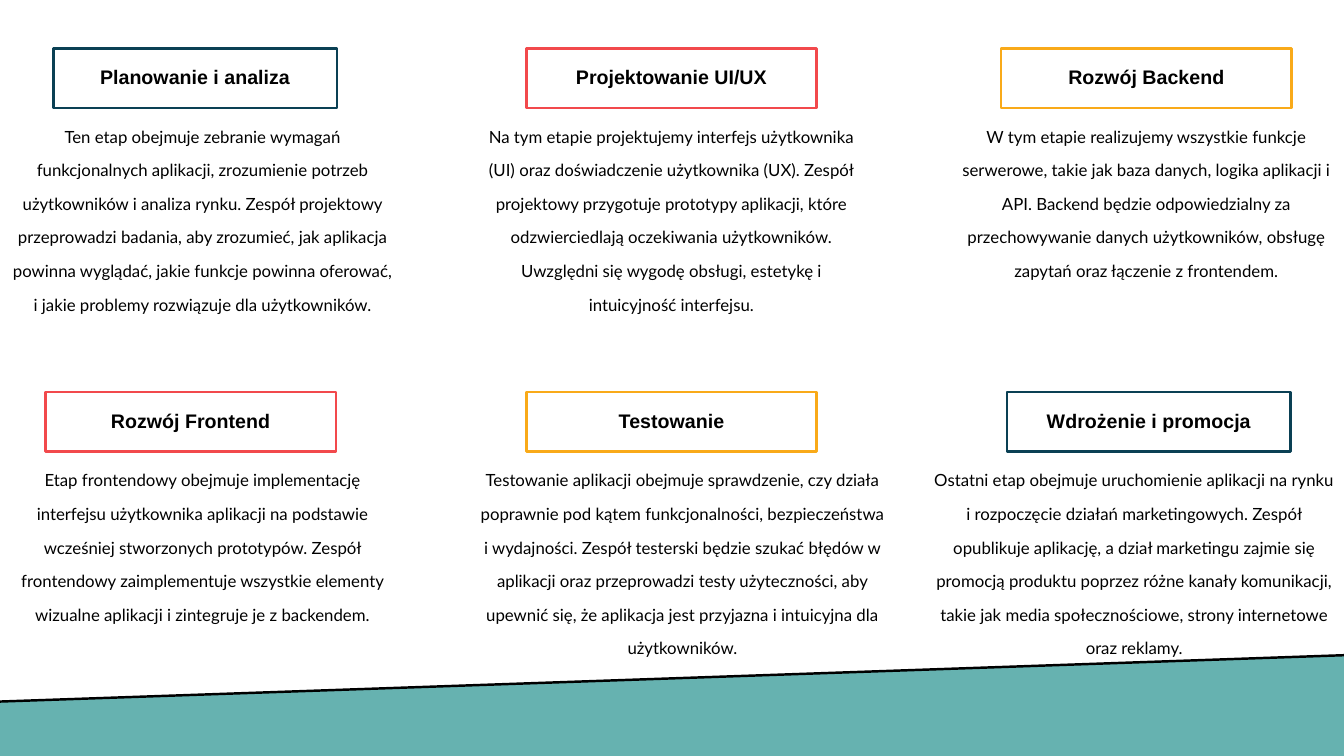
from lxml.etree import SubElement
from pptx import Presentation
from pptx.dml.color import RGBColor
from pptx.enum.shapes import MSO_CONNECTOR as Link, MSO_SHAPE as Geo
from pptx.enum.text import MSO_ANCHOR as Anchor, MSO_AUTO_SIZE as Fit, PP_ALIGN as Align
from pptx.oxml.ns import qn
from pptx.util import Inches, Pt

NAVY = RGBColor(0x0A, 0x40, 0x54)
RED = RGBColor(0xF2, 0x49, 0x4C)
AMBER = RGBColor(0xF9, 0xAA, 0x19)
TEAL = RGBColor(0x66, 0xB2, 0xB0)
BLACK = RGBColor(0, 0, 0)

HEAD_TOP, TEXT_TOP, ROW_STEP = 6.4, 14.27, 45.47
HEAD_HEIGHT, TEXT_HEIGHT = 7.87, 23.33
NARROW_HEAD, WIDE_HEAD = 21.08, 21.61
NARROW_TEXT, WIDE_TEXT = 30.16, 31.81
SLOPE_LEFT, SLOPE_RIGHT = 92.8, 86.67

STAGES = [
    [
        ("Planowanie i analiza", NAVY, 3.98, NARROW_HEAD, 0, NARROW_TEXT,
         "Ten etap obejmuje zebranie wymagań funkcjonalnych aplikacji, zrozumienie potrzeb "
         "użytkowników i analiza rynku. Zespół projektowy przeprowadzi badania, aby zrozumieć, "
         "jak aplikacja powinna wyglądać, jakie funkcje powinna oferować, i jakie problemy "
         "rozwiązuje dla użytkowników."),
        ("Projektowanie UI/UX", RED, 39.16, WIDE_HEAD, 34.88, NARROW_TEXT,
         "Na tym etapie projektujemy interfejs użytkownika (UI) oraz doświadczenie użytkownika "
         "(UX). Zespół projektowy przygotuje prototypy aplikacji, które odzwierciedlają "
         "oczekiwania użytkowników. Uwzględni się wygodę obsługi, estetykę i intuicyjność "
         "interfejsu."),
        ("Rozwój Backend", AMBER, 74.49, WIDE_HEAD, 70.22, NARROW_TEXT,
         "W tym etapie realizujemy wszystkie funkcje serwerowe, takie jak baza danych, logika "
         "aplikacji i API. Backend będzie odpowiedzialny za przechowywanie danych użytkowników, "
         "obsługę zapytań oraz łączenie z frontendem."),
    ],
    [
        ("Rozwój Frontend", RED, 3.38, WIDE_HEAD, 0, NARROW_TEXT,
         "Etap frontendowy obejmuje implementację interfejsu użytkownika aplikacji na podstawie "
         "wcześniej stworzonych prototypów. Zespół frontendowy zaimplementuje wszystkie "
         "elementy wizualne aplikacji i zintegruje je z backendem."),
        ("Testowanie", AMBER, 39.16, WIDE_HEAD, 34.88, WIDE_TEXT,
         "Testowanie aplikacji obejmuje sprawdzenie, czy działa poprawnie pod kątem "
         "funkcjonalności, bezpieczeństwa i wydajności. Zespół testerski będzie szukać błędów w "
         "aplikacji oraz przeprowadzi testy użyteczności, aby upewnić się, że aplikacja jest "
         "przyjazna i intuicyjna dla użytkowników."),
        ("Wdrożenie i promocja", NAVY, 74.94, NARROW_HEAD, 68.49, WIDE_TEXT,
         "Ostatni etap obejmuje uruchomienie aplikacji na rynku i rozpoczęcie działań "
         "marketingowych. Zespół opublikuje aplikację, a dział marketingu zajmie się promocją "
         "produktu poprzez różne kanały komunikacji, takie jak media społecznościowe, strony "
         "internetowe oraz reklamy."),
    ],
]


class Deck:
    line_width = Pt(1.75)

    def __init__(self):
        self.prs = Presentation()
        self.prs.slide_width, self.prs.slide_height = Inches(13.33), Inches(7.5)
        self.s = self.prs.slides.add_slide(self.prs.slide_layouts.get_by_name("Comparison"))
        title = self.s.shapes.title
        title.element.getparent().remove(title.element)
        slots = {ph.placeholder_format.idx: ph for ph in self.s.placeholders}
        self.heads = iter([slots[1], slots[3]])
        self.texts = iter([slots[2], slots[4]])

    def x(self, percent):
        return round(self.prs.slide_width * percent / 100)

    def y(self, percent):
        return round(self.prs.slide_height * percent / 100)

    def area(self, left, top, width, height):
        return self.x(left), self.y(top), self.x(width), self.y(height)

    def slope(self, left, right):
        start, end = (0, self.y(left)), (self.x(100), self.y(right))
        builder = self.s.shapes.build_freeform(*start)
        builder.add_line_segments([end, (self.x(100), self.y(100)), (0, self.y(100))])
        sp = builder.convert_to_shape()
        sp.shadow.inherit = False
        sp.fill.solid()
        sp.fill.fore_color.rgb = TEAL
        sp.line.fill.background()
        edge = self.s.shapes.add_connector(Link.STRAIGHT, *end, *start)
        edge.line.color.rgb = BLACK
        edge.line.width = self.line_width
        SubElement(edge.element.spPr, qn("a:effectLst"))

    def set_text(self, sp, text, font, size, bold, anchor, spacing, before):
        tf = sp.text_frame
        tf.text = text
        tf.word_wrap, tf.auto_size, tf.vertical_anchor = True, Fit.NONE, anchor
        p = tf.paragraphs[0]
        p.alignment, p.line_spacing, p.space_before = Align.CENTER, spacing, before
        pPr = p._p.get_or_add_pPr()
        pPr.set("marL", "0")
        pPr.set("indent", "0")
        SubElement(pPr, qn("a:buNone"))
        r = p.runs[0]
        r.font.name, r.font.size, r.font.bold = font, size, bold
        r.font.color.rgb = BLACK

    def heading(self, text, color, *box):
        area = self.area(*box)
        sp = next(self.heads, None) or self.s.shapes.add_shape(Geo.RECTANGLE, *area)
        sp.left, sp.top, sp.width, sp.height = area
        sp.shadow.inherit = False
        sp.fill.background()
        sp.line.color.rgb = color
        sp.line.width = self.line_width
        self.set_text(sp, text, "Arial", Pt(14), True, Anchor.MIDDLE, 0.9, Pt(0))

    def description(self, text, *box):
        area = self.area(*box)
        sp = next(self.texts, None) or self.s.shapes.add_textbox(*area)
        sp.left, sp.top, sp.width, sp.height = area
        self.set_text(sp, text, "Lato", Pt(12), False, Anchor.TOP, Pt(24), Pt(10))


def main():
    deck = Deck()
    deck.slope(SLOPE_LEFT, SLOPE_RIGHT)
    for row, stages in enumerate(STAGES):
        shift = row * ROW_STEP
        for name, color, head_left, head_width, text_left, text_width, text in stages:
            deck.heading(name, color, head_left, HEAD_TOP + shift, head_width, HEAD_HEIGHT)
            deck.description(text, text_left, TEXT_TOP + shift, text_width, TEXT_HEIGHT)
    deck.prs.save("out.pptx")


if __name__ == "__main__":
    main()
